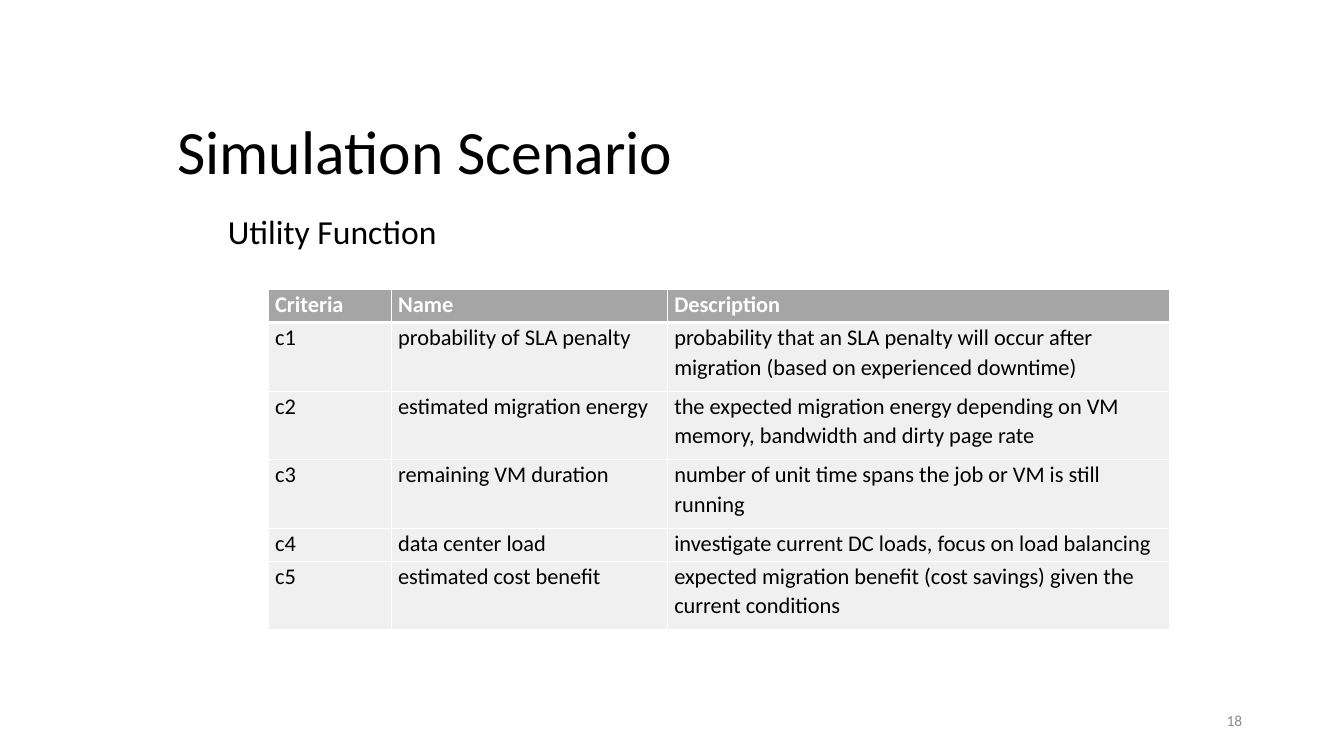
from dataclasses import dataclass

from lxml import etree
from pptx import Presentation, util as u
from pptx.dml.color import RGBColor
from pptx.enum import text
from pptx.oxml.ns import qn


@dataclass(frozen=True)
class Theme:
    font: str = "Calibri"
    ink: str = "000000"
    white: str = "FFFFFF"
    header: str = "A5A5A5"
    band: str = "F0F0F0"
    muted: str = "8C8C8C"
    title: int = 44
    body: int = 24
    cell: int = 16
    note: int = 11


CRITERIA = [
    ("Criteria", "Name", "Description"),
    ("c1", "probability of SLA penalty",
     "probability that an SLA penalty will occur after migration (based on experienced downtime)"),
    ("c2", "estimated migration energy",
     "the expected migration energy depending on VM memory, bandwidth and dirty page rate"),
    ("c3", "remaining VM duration",
     "number of unit time spans the job or VM is still running"),
    ("c4", "data center load",
     "investigate current DC loads, focus on load balancing"),
    ("c5", "estimated cost benefit",
     "expected migration benefit (cost savings) given the current conditions"),
]


def write(tf, words, *, theme, size, color, bold=False, spacing=None,
          before=0, align=text.PP_ALIGN.LEFT):
    """Put one formatted paragraph in a text frame and return it."""
    p = tf.paragraphs[0]
    p.alignment, p.line_spacing, p.space_before = align, spacing, u.Pt(before)
    r = p.add_run()
    r.text = words
    r.font.name, r.font.size, r.font.bold = theme.font, u.Pt(size), bold
    r.font.color.rgb = RGBColor.from_string(color)
    return p


class Deck:
    """Slide builder; lengths are percent of the slide's width and height."""

    def __init__(self, theme):
        self.theme = theme
        self.prs = Presentation()
        self.prs.slide_width, self.prs.slide_height = u.Inches(13.33), u.Inches(7.5)
        self.s = self.prs.slides.add_slide(self.prs.slide_layouts[1])

    def x(self, share):
        return round(self.prs.slide_width * share / 100)

    def y(self, share):
        return round(self.prs.slide_height * share / 100)

    def box(self, left, top, width, height):
        return self.x(left), self.y(top), self.x(width), self.y(height)

    def frame(self, sp, box, anchor):
        sp.left, sp.top, sp.width, sp.height = self.box(*box)
        tf = sp.text_frame
        tf.word_wrap, tf.auto_size = True, text.MSO_AUTO_SIZE.NONE
        tf.vertical_anchor = anchor
        return tf

    def title(self, words, box):
        tf = self.frame(self.s.shapes.title, box, text.MSO_ANCHOR.MIDDLE)
        write(tf, words, theme=self.theme, size=self.theme.title,
              color=self.theme.ink, spacing=0.9)

    def body(self, words, box):
        tf = self.frame(self.s.placeholders[1], box, text.MSO_ANCHOR.TOP)
        p = write(tf, words, theme=self.theme, size=self.theme.body,
                  color=self.theme.ink, spacing=0.9, before=5)
        p.level = 1
        pPr = p._p.get_or_add_pPr()
        pPr.set("marL", str(u.Inches(0.5)))
        pPr.set("indent", "0")
        etree.SubElement(pPr, qn("a:buNone"))

    def number(self, words, box):
        sp = self.s.shapes.add_textbox(*self.box(*box))
        tf = self.frame(sp, box, text.MSO_ANCHOR.MIDDLE)
        write(tf, words, theme=self.theme, size=self.theme.note,
              color=self.theme.muted, align=text.PP_ALIGN.RIGHT)

    def border(self, cell, **widths):
        tcPr = cell._tc.get_or_add_tcPr()
        for side, width in widths.items():
            ln = etree.SubElement(tcPr, qn(f"a:ln{side}"), w=str(u.Pt(width)))
            fill = etree.SubElement(ln, qn("a:solidFill"))
            etree.SubElement(fill, qn("a:srgbClr"), val=self.theme.white)

    def cell(self, cell, words, row):
        head = row == 0
        cell.margin_left = cell.margin_right = u.Inches(0.07)
        cell.margin_top = cell.margin_bottom = 0
        self.border(cell, L=1, R=1, T=3 if row == 1 else 1, B=3 if head else 1)
        cell.fill.solid()
        cell.fill.fore_color.rgb = RGBColor.from_string(
            self.theme.header if head else self.theme.band)
        write(cell.text_frame, words, theme=self.theme, size=self.theme.cell, bold=head,
              color=self.theme.white if head else self.theme.ink, spacing=1.07)

    def table(self, rows, left, top, widths, heights):
        box = self.box(left, top, sum(widths), sum(heights))
        table = self.s.shapes.add_table(len(rows), len(widths), *box).table
        for column, width in zip(table.columns, widths):
            column.width = self.x(width)
        for i, (row, height) in enumerate(zip(rows, heights)):
            table.rows[i].height = self.y(height)
            for j, words in enumerate(row):
                self.cell(table.cell(i, j), words, i)


def main():
    deck = Deck(Theme())

    # Heading and subheading
    deck.title("Simulation Scenario", (12.45, 7.6, 82.2, 25.6))
    deck.body("Utility Function", (12.45, 27.87, 70.74, 69.07))

    # Criteria table: rows of one or two text lines
    single, double = 4.4, 9.07
    deck.table(CRITERIA, 19.95, 38.27, widths=(9.15, 20.55, 37.35),
               heights=(single, double, double, double, single, double))

    # Slide number
    deck.number("18", (70.67, 92.67, 22.5, 5.33))

    deck.prs.save("out.pptx")


if __name__ == "__main__":
    main()
